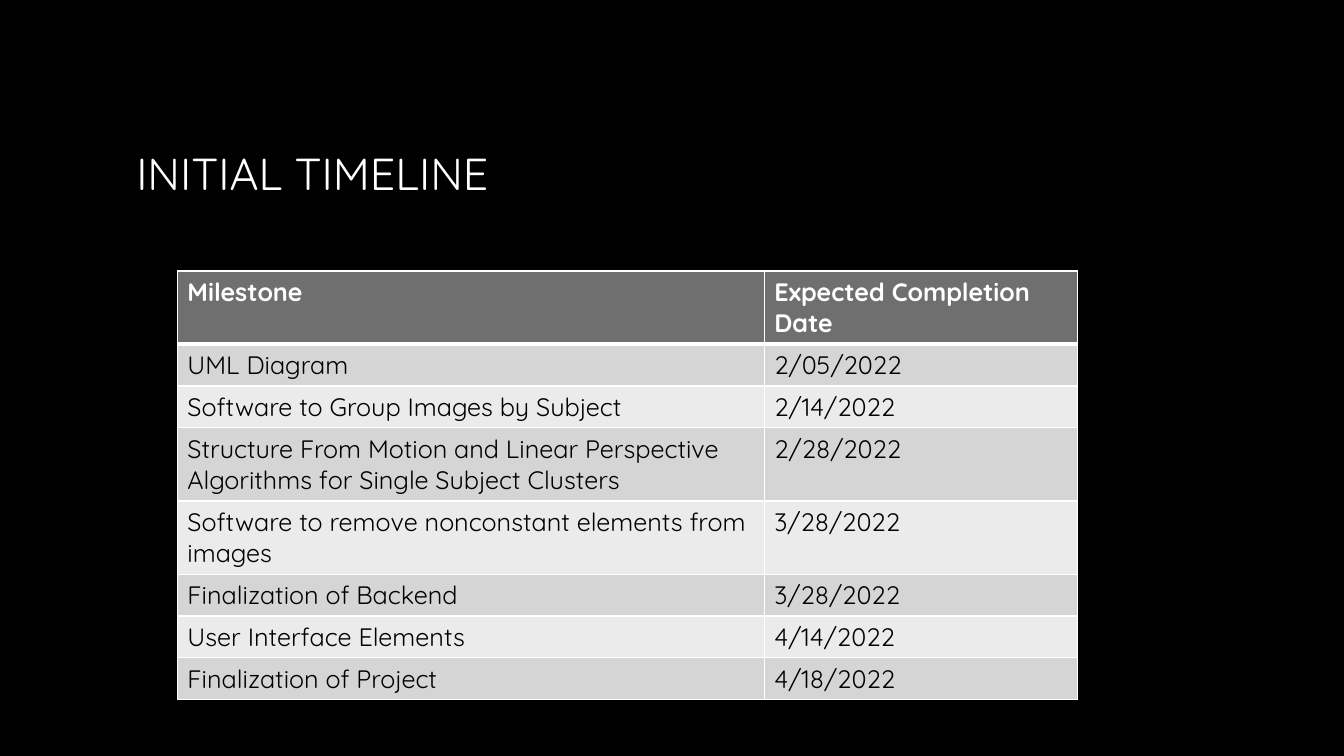
from lxml.etree import SubElement
from pptx import Presentation
from pptx.dml.color import RGBColor
from pptx.enum.text import MSO_ANCHOR, PP_ALIGN
from pptx.oxml.ns import qn
from pptx.util import Cm, Pt

TITLE = "INITIAL TIMELINE"
ROWS = [
    ("Milestone", "Expected Completion Date"),
    ("UML Diagram", "2/05/2022"),
    ("Software to Group Images by Subject", "2/14/2022"),
    ("Structure From Motion and Linear Perspective Algorithms for Single Subject Clusters", "2/28/2022"),
    ("Software to remove nonconstant elements from images", "3/28/2022"),
    ("Finalization of Backend", "3/28/2022"),
    ("User Interface Elements", "4/14/2022"),
    ("Finalization of Project", "4/18/2022"),
]
COL_WIDTHS = (14.79, 7.9)
ROW_HEIGHT = 1.03
FONT = "Quicksand"
WHITE, BLACK, HEADER = "FFFFFF", "000000", "6F6F6F"
BANDS = ("EBEBEB", "D5D5D5")


def rgb(value):
    return RGBColor.from_string(value)


def set_font(p, size, color, bold=False):
    p.font.name = FONT
    p.font.size = Pt(size)
    p.font.bold = bold
    p.font.color.rgb = rgb(color)


def set_borders(cell, widths):
    tcPr = cell._tc.get_or_add_tcPr()
    for side, width in zip("LRTB", widths):
        ln = SubElement(tcPr, qn(f"a:ln{side}"), w=str(Pt(width)))
        fill = SubElement(ln, qn("a:solidFill"))
        SubElement(fill, qn("a:srgbClr"), val=WHITE)


def add_title(s):
    sp = s.shapes.title
    sp.left, sp.top, sp.width, sp.height = Cm(3.18), Cm(1.7), Cm(27.51), Cm(5.28)
    tf = sp.text_frame
    tf.text = TITLE
    tf.vertical_anchor = MSO_ANCHOR.MIDDLE
    p = tf.paragraphs[0]
    p.alignment = PP_ALIGN.LEFT
    set_font(p, 32, WHITE)


def add_timeline(s):
    table = s.shapes.add_table(
        len(ROWS), len(COL_WIDTHS), Cm(4.47), Cm(6.83),
        Cm(sum(COL_WIDTHS)), Cm(ROW_HEIGHT * len(ROWS))).table
    for column, width in zip(table.columns, COL_WIDTHS):
        column.width = Cm(width)
    for i, texts in enumerate(ROWS):
        table.rows[i].height = Cm(ROW_HEIGHT)
        header = i == 0
        for j, text in enumerate(texts):
            cell = table.cell(i, j)
            cell.text = text
            set_font(cell.text_frame.paragraphs[0], 18, WHITE if header else BLACK, header)
            set_borders(cell, (1, 1, 3 if i == 1 else 1, 3 if header else 1))
            cell.fill.solid()
            cell.fill.fore_color.rgb = rgb(HEADER if header else BANDS[i % 2])


def main():
    prs = Presentation()
    prs.slide_width, prs.slide_height = Cm(33.87), Cm(19.05)
    s = prs.slides.add_slide(prs.slide_layouts[5])
    s.background.fill.solid()
    s.background.fill.fore_color.rgb = rgb(BLACK)
    add_title(s)
    add_timeline(s)
    prs.save("out.pptx")


if __name__ == "__main__":
    main()
